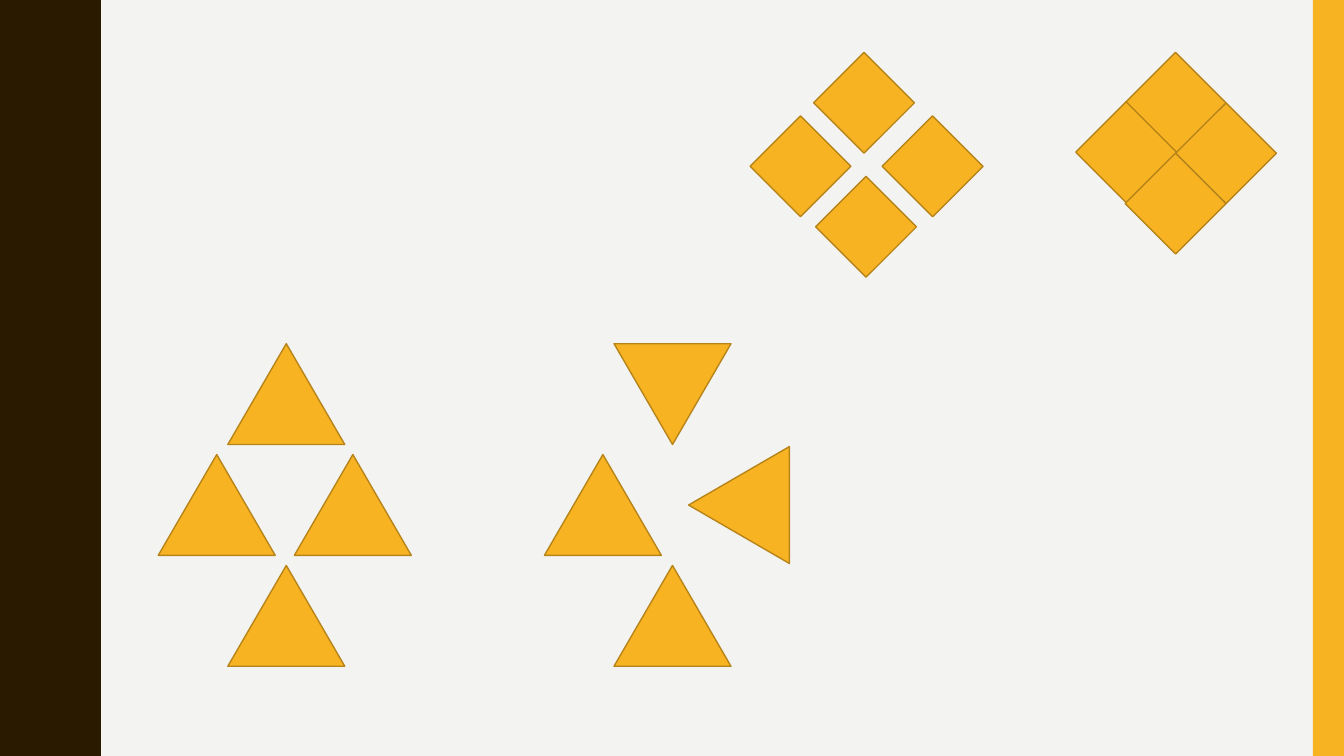
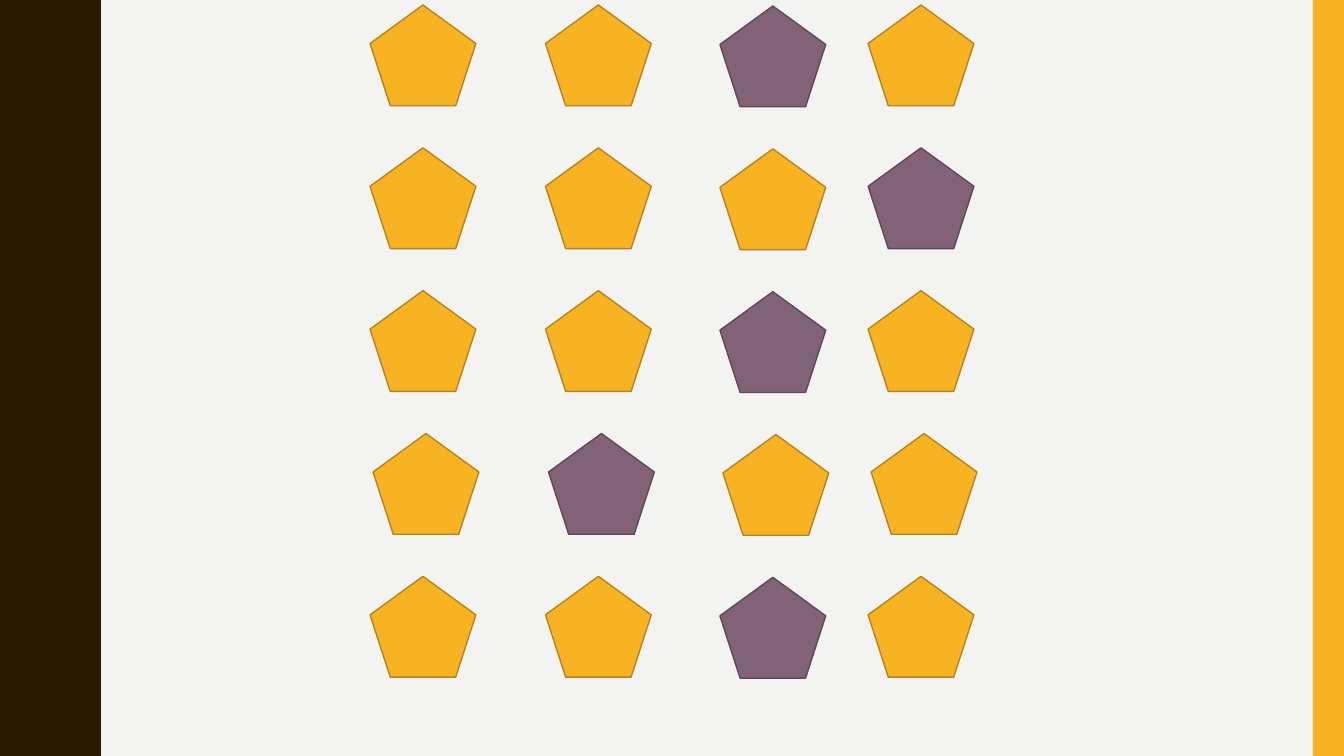
from pptx import Presentation
from pptx import util as u
from pptx.dml.color import RGBColor
from pptx.enum import shapes

WIDE, HIGH = 13.33, 7.5
HUES = {
    "paper": "F3F3F2", "wave": "2A1A00",
    "gold": "F8B323", "gold_edge": "B7841A",
    "plum": "826276", "plum_edge": "604957",
}
KIND = shapes.MSO_SHAPE

# Side wave: one quarter of its period, as x and y
PERIOD = 1.5
QUARTER = [(0.78, 0), (0.78, 0.07), (0.79, 0.14), (0.8, 0.2),
           (0.81, 0.25), (0.83, 0.29), (0.85, 0.33), (0.87, 0.38)]
CREST = 0.97
BAND = 0.31

# Four-part clusters: left, top and turn of each part
LOOSE = [(8.75, 1.15, 0), (8.07, 0.52, 0), (7.44, 1.15, 0), (8.09, 1.75, 0)]
TIGHT = [(11.66, 1.02, 0), (11.16, 0.52, 0), (10.67, 1.01, 0), (11.16, 1.52, 0)]
TRI_COLS = (0, 0.69, 1.35)
TRI_TOP, TRI_STEP = 3.41, 1.1
TRI_CELLS = [(0, 1), (2, 1), (1, 2), (1, 0)]   # column, row

# Pentagon grid: left and drop of each column, shift of each row, P is plum
PENT_COLS = [(3.67, 0), (5.41, 0), (7.14, 0.01), (8.61, 0)]
PENT_TOP, PENT_STEP = 0.05, 1.417
PENT_ROWS = [("GGPG", 0), ("GGGP", 0), ("GGPG", 0), ("GPGG", 0.03), ("GGPG", 0)]


def tint(fill, hue):
    fill.solid()
    fill.fore_color.rgb = RGBColor.from_string(HUES[hue])


def paint(shape, hue, edge=None):
    shape.shadow.inherit = False
    tint(shape.fill, hue)
    if edge:
        tint(shape.line.fill, edge)
        shape.line.width = u.Pt(1)
    else:
        shape.line.fill.background()


def place(slide, kind, left, top, width, height, hue, edge=None, turn=0):
    box = [u.Inches(n) for n in (left, top, width, height)]
    shape = slide.shapes.add_shape(kind, *box)
    shape.rotation = turn
    paint(shape, hue, edge)
    return shape


def wave(slide):
    low = QUARTER[0][0]
    half = QUARTER + [(low + CREST - x, PERIOD / 2 - y)
                      for x, y in reversed(QUARTER[:-1])]
    cycle = half + [(x, PERIOD - y) for x, y in reversed(half[:-1])]
    rim = [(x, y + n * PERIOD)
           for n in range(round(HIGH / PERIOD)) for x, y in cycle]
    pen = slide.shapes.build_freeform(0, 0, scale=u.Inches(1))
    pen.add_line_segments(rim + [(0, HIGH)], close=True)
    shape = pen.convert_to_shape()
    paint(shape, "wave")
    return shape


def dress(master, slide):
    """Draw the side wave and band once, then move them to the master."""
    tint(master.background.fill, "paper")
    band = place(slide, KIND.RECTANGLE, WIDE - BAND, 0, BAND, HIGH, "gold")
    tree = master.shapes.element
    for spot, shape in enumerate((wave(slide), band), start=2):
        tree.insert(spot, shape.element)


def cluster(slide, kind, width, parts):
    for left, top, turn in parts:
        place(slide, kind, left, top, width, 1, "gold", "gold_edge", turn)


def trio(left, turns):
    return [(left + TRI_COLS[col], TRI_TOP + row * TRI_STEP, turn)
            for (col, row), turn in zip(TRI_CELLS, turns)]


def pents(slide):
    for row, (marks, shift) in enumerate(PENT_ROWS):
        for mark, (left, drop) in zip(marks, PENT_COLS):
            hue = "plum" if mark == "P" else "gold"
            place(slide, KIND.REGULAR_PENTAGON, left + shift,
                  PENT_TOP + row * PENT_STEP + drop, 1.05, 1,
                  hue, hue + "_edge")


def main():
    deck = Presentation()
    deck.slide_width, deck.slide_height = u.Inches(WIDE), u.Inches(HIGH)
    blank = deck.slide_layouts[6]

    # Diamonds and triangles
    first = deck.slides.add_slide(blank)
    dress(deck.slide_master, first)
    for parts in (LOOSE, TIGHT):
        cluster(first, KIND.DIAMOND, 1, parts)
    for left, turns in ((1.57, (0, 0, 0, 0)), (5.4, (0, 270, 0, 180))):
        cluster(first, KIND.ISOSCELES_TRIANGLE, 1.16, trio(left, turns))

    # Pentagon grid
    pents(deck.slides.add_slide(blank))
    deck.save("out.pptx")


if __name__ == "__main__":
    main()
